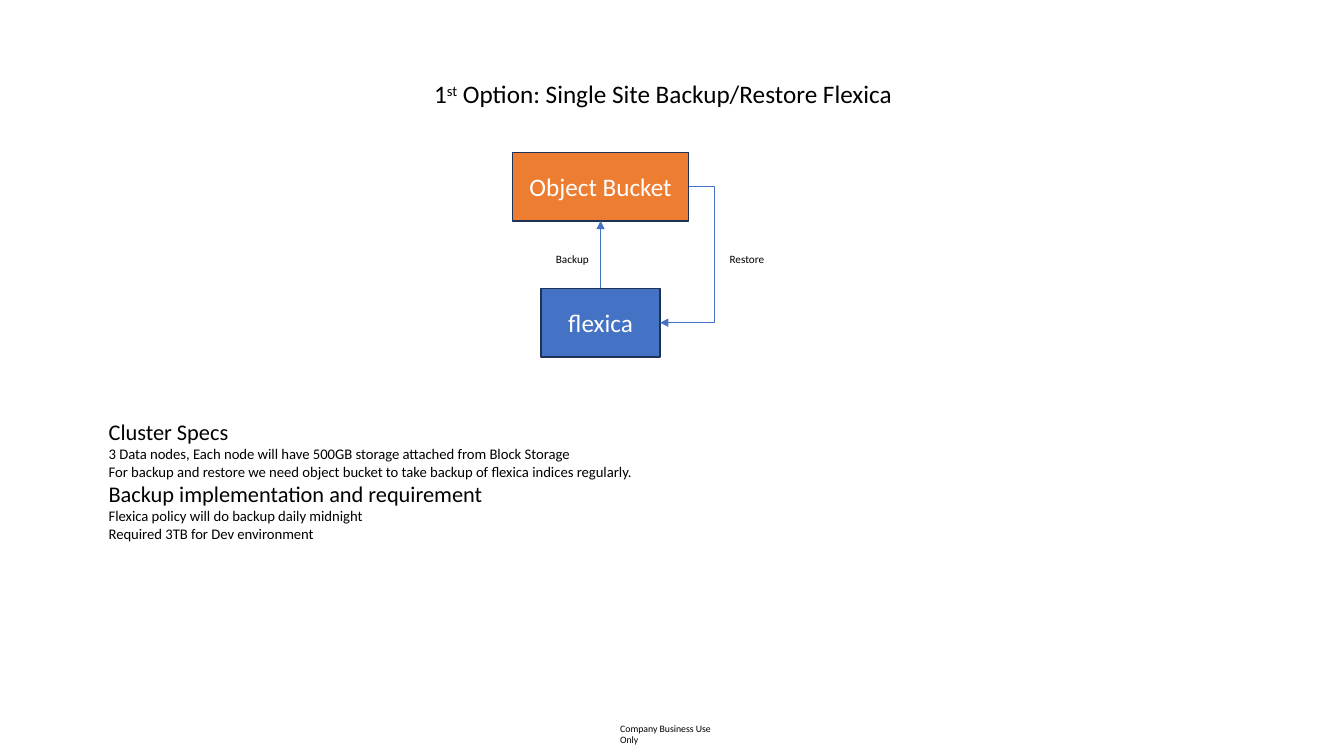
from lxml import etree
from pptx import Presentation
from pptx.dml.color import RGBColor
from pptx.enum.shapes import MSO_CONNECTOR, MSO_SHAPE
from pptx.enum.text import MSO_ANCHOR, MSO_AUTO_SIZE, PP_ALIGN
from pptx.oxml.ns import qn
from pptx.util import Pt

RECTANGLE = MSO_SHAPE.RECTANGLE
STRAIGHT, ELBOW = MSO_CONNECTOR.STRAIGHT, MSO_CONNECTOR.ELBOW
MIDDLE, CENTER = MSO_ANCHOR.MIDDLE, PP_ALIGN.CENTER
FIT_TEXT = MSO_AUTO_SIZE.SHAPE_TO_FIT_TEXT
TOP, BOTTOM, RIGHT = 0, 2, 3

FONT = "Calibri"
COLORS = {
    "text": "000000",
    "box text": "FFFFFF",
    "cluster": "4472C4",
    "bucket": "ED7D31",
    "outline": "1E3256",
    "arrow": "4472C4",
}

TITLE = ("1", "st", " Option: Single Site Backup/Restore Flexica")
TITLE_AREA = (303, 52.5, 343.5, 29)
FOOTER = "Company Business Use Only"
FOOTER_AREA = (443, 516, 75.5, 9)
ARROW_LABELS = [
    ("Backup", (390, 176.5, 39, 17)),
    ("Restore", (514, 176.5, 39.5, 17)),
]
SPECS_AREA = (70.5, 295, 403, 97)
SPECS = [
    ("Cluster Specs", 16),
    ("3 Data nodes, Each node will have 500GB storage attached from Block Storage\v"
     "For backup and restore we need object bucket to take backup of flexica indices regularly.", 10.5),
    ("Backup implementation and requirement", 16),
    ("Flexica policy will do backup daily midnight", 10.5),
    ("Required 3TB for Dev environment", 10.5),
]

AXIS = 429
BOX_HEIGHT = 49
BUCKET_TOP, BUCKET_WIDTH = 108.75, 126
CLUSTER_TOP, CLUSTER_WIDTH = 206, 85
RESTORE_TURN = 510


def color(name):
    return RGBColor.from_string(COLORS[name])


def format_runs(paragraph, size, color_name="text"):
    for run in paragraph.runs:
        run.font.name = FONT
        run.font.size = Pt(size)
        run.font.color.rgb = color(color_name)


def add_text(slide, area, lines):
    shape = slide.shapes.add_textbox(*map(Pt, area))
    frame = shape.text_frame
    frame.word_wrap = False
    frame.auto_size = FIT_TEXT
    frame.text = "\n".join(text for text, size in lines)
    for paragraph, (text, size) in zip(frame.paragraphs, lines):
        format_runs(paragraph, size)
    return frame


def add_title(slide):
    frame = add_text(slide, TITLE_AREA, [("", 18)])
    paragraph = frame.paragraphs[0]
    for text in TITLE:
        paragraph.add_run().text = text
    format_runs(paragraph, 18)
    paragraph.runs[1].font._element.set("baseline", "30000")


def add_footer(slide):
    frame = add_text(slide, FOOTER_AREA, [(FOOTER, 7)])
    frame.margin_left = frame.margin_right = 0
    frame.margin_top = frame.margin_bottom = 0


def add_box(slide, text, top, width, fill):
    left = AXIS - width / 2
    shape = slide.shapes.add_shape(RECTANGLE, Pt(left), Pt(top), Pt(width), Pt(BOX_HEIGHT))
    shape.shadow.inherit = False
    shape.fill.solid()
    shape.fill.fore_color.rgb = color(fill)
    shape.line.color.rgb = color("outline")
    shape.line.width = Pt(1)
    frame = shape.text_frame
    frame.text = text
    frame.vertical_anchor = MIDDLE
    frame.paragraphs[0].alignment = CENTER
    format_runs(frame.paragraphs[0], 18, "box text")
    return shape


def add_arrow(slide, kind, start, start_side, end, end_side):
    connector = slide.shapes.add_connector(kind, 0, 0, 0, 0)
    connector.begin_connect(start, start_side)
    connector.end_connect(end, end_side)
    connector.line.color.rgb = color("arrow")
    connector.line.width = Pt(0.5)
    line = connector.line._get_or_add_ln()
    etree.SubElement(line, qn("a:tailEnd"), type="triangle")
    etree.SubElement(connector._element.spPr, qn("a:effectLst"))
    return connector


def set_turn(connector, turn):
    ratio = (connector.begin_x - Pt(turn)) / (connector.begin_x - connector.end_x)
    geometry = connector._element.spPr.find(qn("a:prstGeom"))
    adjustments = geometry.find(qn("a:avLst"))
    etree.SubElement(adjustments, qn("a:gd"), name="adj1", fmla=f"val {round(ratio * 100000)}")


def main():
    presentation = Presentation()
    presentation.slide_width, presentation.slide_height = Pt(960), Pt(540)
    slide = presentation.slides.add_slide(presentation.slide_layouts[6])

    add_footer(slide)
    cluster = add_box(slide, "flexica", CLUSTER_TOP, CLUSTER_WIDTH, "cluster")
    bucket = add_box(slide, "Object Bucket", BUCKET_TOP, BUCKET_WIDTH, "bucket")
    add_title(slide)
    add_arrow(slide, STRAIGHT, cluster, TOP, bucket, BOTTOM)
    restore = add_arrow(slide, ELBOW, bucket, RIGHT, cluster, RIGHT)
    set_turn(restore, RESTORE_TURN)
    for text, area in ARROW_LABELS:
        add_text(slide, area, [(text, 8)])
    add_text(slide, SPECS_AREA, SPECS)

    presentation.save("out.pptx")


if __name__ == "__main__":
    main()
